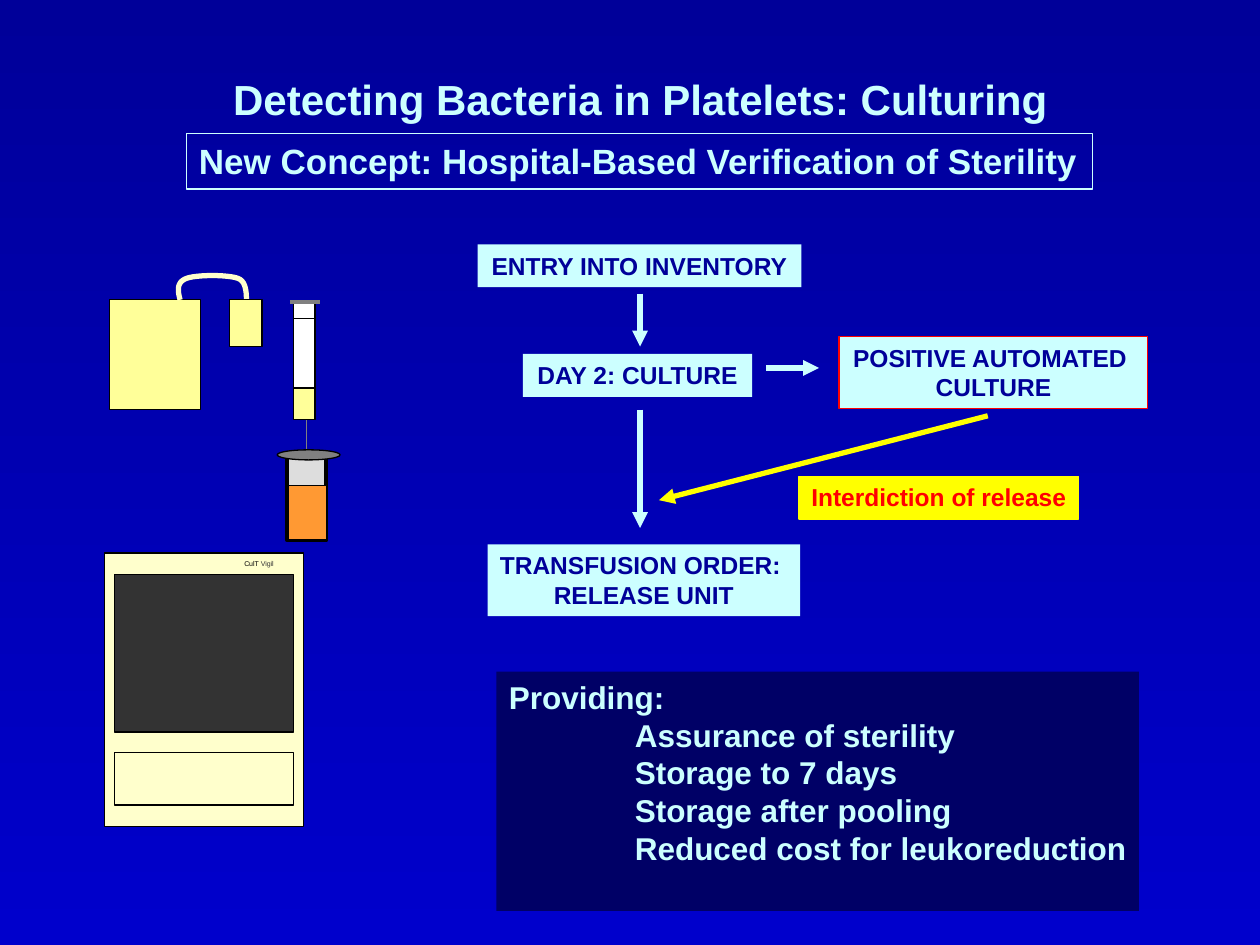
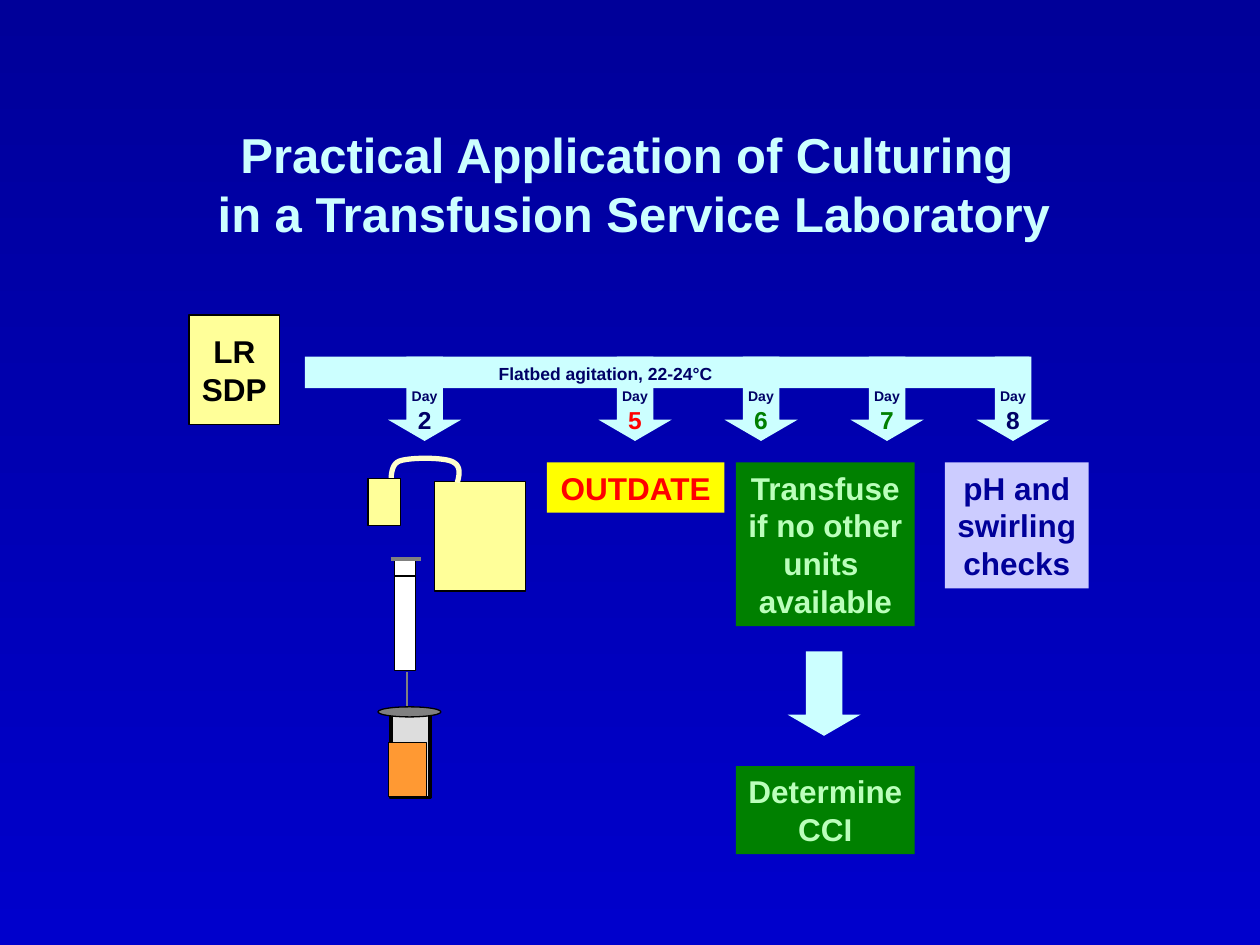
import pptx
import pptx.util
import pptx.dml.color
import pptx.enum.shapes
import pptx.enum.text
import pptx.oxml
import pptx.oxml.ns

Inches = pptx.util.Inches
Pt = pptx.util.Pt
SHAPE = pptx.enum.shapes.MSO_SHAPE
ALIGN = pptx.enum.text.PP_ALIGN
ANCHOR = pptx.enum.text.MSO_ANCHOR


class Theme:
    font = "Arial"
    ice, blue, navy = "CCFFFF", "000099", "000066"
    deep = "0000CC"
    white, black, grey, dark, glass = "FFFFFF", "000000", "808080", "333333", "DDDDDD"
    cream, straw, yellow, orange = "FFFFCC", "FFFF99", "FFFF00", "FF9933"
    red, green, mint, lilac = "FF0000", "008000", "BBFFBB", "CCCCFF"
    tiny, day, note, step, body, sub, head, big = 4, 8, 10, 14, 18, 20, 24, 28
    thin, thick = 0.75, 3


def rgb(code):
    return pptx.dml.color.RGBColor.from_string(code)


def block(slide, box, fill=None, edge=None, weight=Theme.thin, kind=SHAPE.RECTANGLE,
          turn=0, rows=(), size=Theme.step, color=Theme.blue, align=ALIGN.CENTER,
          anchor=ANCHOR.TOP, bold=True):
    """Draw a shape, a text box (kind None) or the title (kind "title").

    Each row is a string, or a list of (text, size, colour) runs.
    """
    spot = [Inches(n) for n in box]
    if kind == "title":
        shape = slide.shapes.title
        shape.left, shape.top, shape.width, shape.height = spot
    elif kind is None:
        shape = slide.shapes.add_textbox(*spot)
    else:
        shape = slide.shapes.add_shape(kind, *spot)
        shape.shadow.inherit = False
        shape.rotation = turn
        if fill:
            shape.fill.solid()
            shape.fill.fore_color.rgb = rgb(fill)
        else:
            shape.fill.background()
        if edge:
            shape.line.color.rgb = rgb(edge)
            shape.line.width = Pt(weight)
        else:
            shape.line.fill.background()
    frame = shape.text_frame
    if rows:
        frame.word_wrap = False
        frame.auto_size = pptx.enum.text.MSO_AUTO_SIZE.NONE
        frame.vertical_anchor = anchor
    for i, row in enumerate(rows):
        para = frame.add_paragraph() if i else frame.paragraphs[0]
        para.alignment = align
        for text, points, tint in [(row, size, color)] if isinstance(row, str) else row:
            run = para.add_run()
            run.text = text
            run.font.name = Theme.font
            run.font.size = Pt(points)
            run.font.bold = bold
            run.font.color.rgb = rgb(tint)
    return shape


deck = pptx.Presentation()
deck.slide_width, deck.slide_height = Inches(10), Inches(7.5)
back = deck.slide_master.background.fill
back.gradient()
back.gradient_angle = 270
for stop, code in zip(back.gradient_stops, (Theme.blue, Theme.deep)):
    stop.color.rgb = rgb(code)

layout = deck.slide_layouts[5]
verify = deck.slides.add_slide(layout)
apply = deck.slides.add_slide(layout)

# Hospital-based verification
block(verify, (1.75, 0.53, 7, 0.5), kind="title", size=Theme.head, color=Theme.ice,
      align=ALIGN.LEFT, rows=["Detecting Bacteria in Platelets: Culturing"])
block(verify, (1.48, 1.06, 7.19, 0.44), edge=Theme.ice, size=Theme.sub, color=Theme.ice,
      align=ALIGN.LEFT, rows=["New Concept: Hospital-Based Verification of Sterility"])

steps = [
    ((3.79, 1.94, 2.57, 0.34), None, ["ENTRY INTO INVENTORY"]),
    ((4.15, 2.81, 1.82, 0.34), None, ["DAY 2: CULTURE"]),
    ((3.87, 4.32, 2.48, 0.57), None, ["TRANSFUSION ORDER: ", "RELEASE UNIT"]),
    ((6.66, 2.67, 2.45, 0.57), Theme.red, ["POSITIVE AUTOMATED ", "CULTURE"]),
]
for box, edge, rows in steps:
    block(verify, box, Theme.ice, edge, rows=rows)
block(verify, (6.34, 3.78, 2.22, 0.34), Theme.yellow, Theme.yellow, color=Theme.red,
      align=ALIGN.LEFT, rows=["Interdiction of release"])

gains = block(verify, (3.94, 5.33, 5.1, 1.9), Theme.navy, size=Theme.body,
              color=Theme.ice, align=ALIGN.LEFT,
              rows=["Providing:", "Assurance of sterility", "Storage to 7 days",
                    "Storage after pooling", "Reduced cost for leukoreduction"])
gains.text_frame.word_wrap = True
gains.text_frame.margin_right = 0
for para in gains.text_frame.paragraphs[1:]:
    para._p.get_or_add_pPr().set("marL", str(Inches(1)))

# Culture cabinet
block(verify, (0.83, 4.39, 1.58, 2.17), Theme.cream, Theme.black)
block(verify, (0.91, 4.56, 1.42, 1.25), Theme.dark, Theme.black)
block(verify, (0.91, 5.97, 1.42, 0.42), edge=Theme.black)
block(verify, (1.84, 4.39, 0.45, 0.17), kind=None, align=ALIGN.LEFT, bold=False,
      rows=[[("CulT", Theme.tiny, Theme.black), (" Vigil", Theme.tiny, Theme.dark)]])

# Practical application
block(apply, (1.62, 0.94, 6.82, 1.04), kind="title", size=Theme.big, color=Theme.ice,
      rows=["Practical Application of Culturing ", "in a Transfusion Service Laboratory"])
block(apply, (1.5, 2.5, 0.72, 0.87), Theme.straw, Theme.black, size=Theme.body,
      color=Theme.black, anchor=ANCHOR.MIDDLE, rows=["LR", "SDP"])

days = [(3.08, "2", Theme.navy), (4.75, "5", Theme.red), (5.75, "6", Theme.green),
        (6.75, "7", Theme.green), (7.75, "8", Theme.navy)]
for left, top in [(left, 2.83) for left, _, _ in days] + [(6.25, 5.17)]:
    arrow = block(apply, (left, top, 0.58, 0.67), Theme.ice, kind=SHAPE.DOWN_ARROW)
    arrow.adjustments[0] = 0.5
    arrow.adjustments[1] = 0.29
block(apply, (2.42, 2.83, 5.75, 0.25), Theme.ice)
block(apply, (3.86, 2.83, 1.89, 0.27), kind=None, size=Theme.note, color=Theme.navy,
      align=ALIGN.LEFT, rows=["Flatbed agitation, 22-24°C"])
for left, day, tint in days:
    block(apply, (left + 0.09, 3.03, 0.4, 0.47), kind=None,
          rows=[[("Day", Theme.day, Theme.navy)], [(day, Theme.step, tint)]])

cards = [
    ((4.34, 3.67, 1.41, 0.4), Theme.yellow, Theme.red, ["OUTDATE"]),
    ((5.84, 3.67, 1.42, 1.3), Theme.green, Theme.mint,
     ["Transfuse", "if no other", "units ", "available"]),
    ((7.5, 3.67, 1.14, 1), Theme.lilac, Theme.blue, ["pH and", "swirling", "checks"]),
    ((5.84, 6.08, 1.42, 0.7), Theme.green, Theme.mint, ["Determine", "CCI"]),
]
for box, fill, tint, rows in cards:
    block(apply, box, fill, size=Theme.body, color=tint, rows=rows)

# Bags joined by a tube, mirrored on the second slide
curve = [(1.43, 2.38), (1.41, 2.31), (1.4, 2.24), (1.48, 2.21), (1.56, 2.18),
         (1.81, 2.18), (1.89, 2.21), (1.97, 2.24), (1.95, 2.37), (1.96, 2.4)]
bends = (1, 3, 3, 1)
tube = []
for first in (0, 3, 6):
    for n in range(13):
        t = n / 12
        mix = [b * t ** k * (1 - t) ** (3 - k) for k, b in enumerate(bends)]
        tube.append([sum(m * point[axis] for m, point in zip(mix, curve[first:first + 4]))
                     for axis in (0, 1)])

bags = [
    (verify, (0.87, 2.38), (1.82, 2.38), 0, 1, 0),
    (apply, (3.45, 3.82), (2.92, 3.8), 5.06, -1, 1.45),
]
for slide, unit, pouch, shift, flip, drop in bags:
    block(slide, (*unit, 0.72, 0.87), Theme.straw, Theme.black)
    dots = [(Inches(shift + flip * x), Inches(y + drop)) for x, y in tube]
    pen = slide.shapes.build_freeform(*dots[0], scale=1.0)
    pen.add_line_segments(dots[1:], close=False)
    hose = pen.convert_to_shape()
    hose.shadow.inherit = False
    hose.fill.background()
    hose.line.color.rgb = rgb(Theme.cream)
    hose.line.width = Pt(Theme.thick)
    block(slide, (*pouch, 0.26, 0.37), Theme.straw, Theme.black)

# Syringe barrels, then every line, then the vials over the needles
kits = [(verify, 0, 0, 2.28, 2.29), (apply, 0.8, 2.04, 3.1, 3.08)]
lines = [
    (verify, (7.84, 3.3), (5.23, 3.97), Theme.yellow, Theme.thick, True),
    (verify, (5.08, 3.25), (5.08, 4.19), Theme.ice, Theme.thick, True),
    (verify, (5.08, 2.33), (5.08, 2.75), Theme.ice, Theme.thick, True),
    (verify, (6.08, 2.92), (6.5, 2.92), Theme.ice, Theme.thick, True),
]
for slide, dx, dy, _, _ in kits:
    for top in (2.69, 2.82):
        block(slide, (2.04 + dx, top + dy, 0.75, 0.17), Theme.white, Theme.black, turn=270)
    lines += [
        (slide, (2.3 + dx, 2.4 + dy), (2.54 + dx, 2.4 + dy), Theme.grey, 2.25, False),
        (slide, (2.43 + dx, 3.29 + dy), (2.43 + dx, 3.73 + dy), Theme.grey, Theme.thin, False),
    ]

for slide, start, end, tint, weight, tip in lines:
    link = slide.shapes.add_connector(pptx.enum.shapes.MSO_CONNECTOR.STRAIGHT,
                                      *[Inches(n) for n in start + end])
    link.line.color.rgb = rgb(tint)
    link.line.width = Pt(weight)
    if tip:
        mark = pptx.oxml.parse_xml(
            f'<a:tailEnd {pptx.oxml.ns.nsdecls("a")} type="triangle"/>')
        link.line._get_or_add_ln().append(mark)
    link._element.spPr.append(
        pptx.oxml.parse_xml(f'<a:effectLst {pptx.oxml.ns.nsdecls("a")}/>'))

block(verify, (2.29, 3.12, 0.25, 0.17), Theme.straw, Theme.black, turn=270)
for slide, dx, dy, vial, broth in kits:
    block(slide, (vial, 3.63 + dy, 0.31, 0.66), Theme.glass, Theme.black, 2.25)
    block(slide, (broth, 3.85 + dy, 0.3, 0.43), Theme.orange, Theme.black, 0.25)
    block(slide, (2.2 + dx, 3.57 + dy, 0.5, 0.08), Theme.grey, Theme.black, kind=SHAPE.OVAL)

deck.save("out.pptx")
